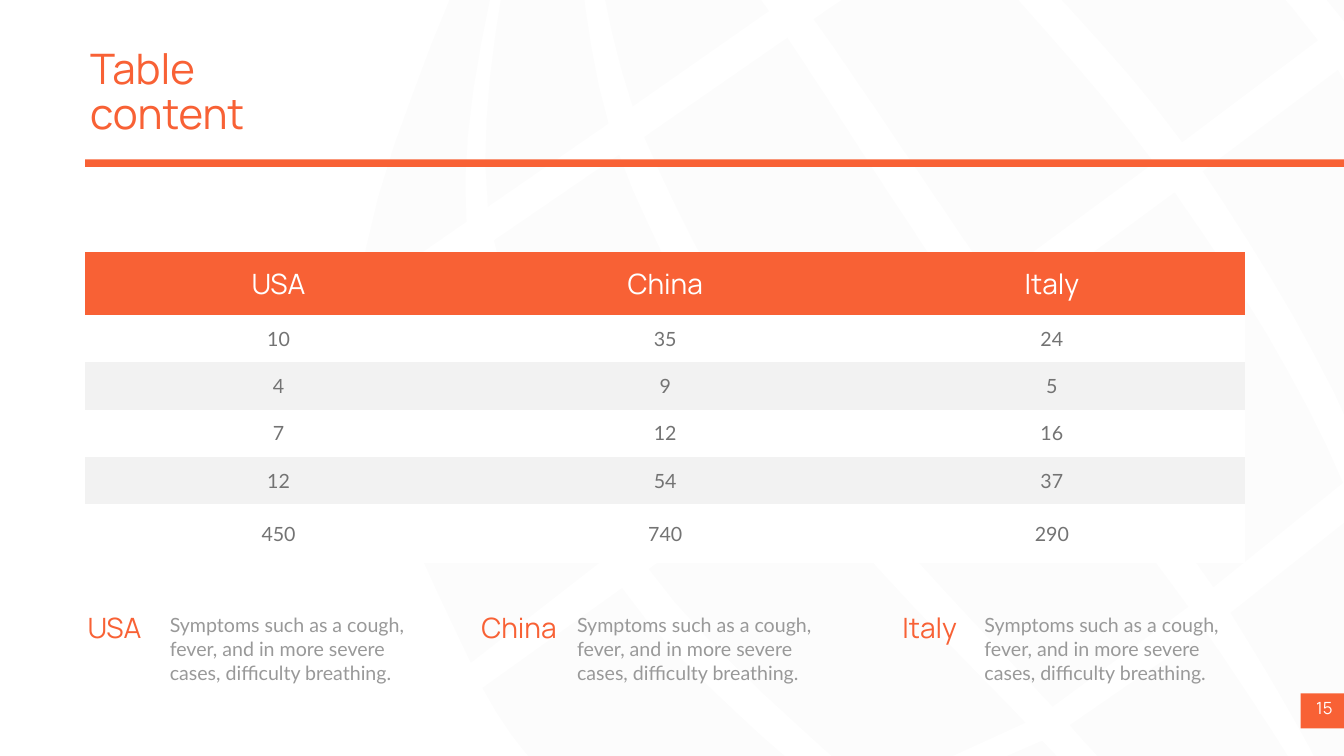
import pptx
import pptx.dml.color
import pptx.enum.shapes
import pptx.enum.text
import pptx.oxml.ns
import pptx.util
from lxml import etree

Inches = pptx.util.Inches
RGBColor = pptx.dml.color.RGBColor
ALIGN = pptx.enum.text.PP_ALIGN
ANCHOR = pptx.enum.text.MSO_ANCHOR

ORANGE = RGBColor(0xF8, 0x61, 0x35)
WHITE = RGBColor(0xFF, 0xFF, 0xFF)
BAND = RGBColor(0xF2, 0xF2, 0xF2)
PANE = RGBColor(0xA6, 0xA6, 0xA6)
CELL_TEXT = RGBColor(0x73, 0x73, 0x73)
NOTE_TEXT = RGBColor(0x99, 0x99, 0x99)
HEADING_FONT, BODY_FONT = "Manrope", "Lato"
PLAIN_TABLE = "{2D5ABB26-0587-4C30-8999-92F81FD0307C}"

TITLE = "Table content"
PAGE_NUMBER = "15"
NOTE = "Symptoms such as a cough, fever, and in more severe cases, difficulty breathing."
COUNTRIES = [("USA", 1.63), ("China", 1.9), ("Italy", 1.63)]
FIGURES = [(10, 35, 24), (4, 9, 5), (7, 12, 16), (12, 54, 37), (450, 740, 290)]
ROW_HEIGHTS = [1.25, 0.94, 0.94, 0.94, 0.94, 1.16]

GLOBE_LEVELS = [
    [(9.5, -1.6), (10.2, -2.2), (11.4, -3.3), (12.2, -4.2)],
    [(6.9, 6.4), (9.5, 4.6), (12.4, 2.6), (15.7, 0.3), (19, -1.8), (21.9, -3.9), (24.4, -5.6)],
    [(9.2, 13.6), (12.4, 11.2), (15.8, 8.8), (19.6, 6.1), (23.4, 3.3), (26.6, 0.9), (29.9, -1.6)],
    [(11.2, 16.2), (17.2, 16), (20.8, 14.4), (24, 12.1), (27, 9.7), (29.7, 7.7)],
    [None, (18.8, 17), (22.4, 16), (26.5, 16), (27.9, 16)],
]
UNITS, CURVE_STEPS = 100, 8
END_GAP, SIDE_GAP = 0.05, 0.08


def node(level, column):
    if 0 <= level < len(GLOBE_LEVELS) and column < len(GLOBE_LEVELS[level]):
        return GLOBE_LEVELS[level][column]
    return None


def meridian(level, column, t):
    start, end = node(level, column), node(level + 1, column)
    before = node(level - 1, column) or start
    after = node(level + 2, column) or end
    weights = ((-t + 2 * t ** 2 - t ** 3) / 2, (2 - 5 * t ** 2 + 3 * t ** 3) / 2,
               (t + 4 * t ** 2 - 3 * t ** 3) / 2, (t ** 3 - t ** 2) / 2)
    corners = (before, start, end, after)
    return [sum(w * c[axis] for w, c in zip(weights, corners)) for axis in (0, 1)]


def pane_outline(level, column):
    steps = [END_GAP + (1 - 2 * END_GAP) * i / CURVE_STEPS for i in range(CURVE_STEPS + 1)]
    points = []
    for side, order in ((SIDE_GAP, steps), (1 - SIDE_GAP, steps[::-1])):
        for t in order:
            near, far = meridian(level, column, t), meridian(level, column + 1, t)
            points.append(tuple((a + (b - a) * side) * UNITS for a, b in zip(near, far)))
    return points


def paint(shape, color):
    shape.shadow.inherit = False
    shape.fill.solid()
    shape.fill.fore_color.rgb = color
    shape.line.fill.background()


def style(frame, text, size, font, color, align=ALIGN.LEFT, spacing=1.0):
    frame.text = text
    paragraph = frame.paragraphs[0]
    paragraph.alignment = align
    paragraph.line_spacing = spacing
    for span in paragraph.runs:
        span.font.size = pptx.util.Pt(size)
        span.font.name = font
        span.font.color.rgb = color


def add_globe(page):
    globe = page.shapes.add_group_shape()
    for level in range(len(GLOBE_LEVELS) - 1):
        for column in range(len(GLOBE_LEVELS[1]) - 1):
            if not all(node(level + i, column + j) for i in (0, 1) for j in (0, 1)):
                continue
            points = pane_outline(level, column)
            builder = globe.shapes.build_freeform(*points[0], scale=Inches(1) / UNITS)
            builder.add_line_segments(points[1:], close=True)
            shape = builder.convert_to_shape()
            paint(shape, PANE)
            tint = shape._element.spPr.find(".//" + pptx.oxml.ns.qn("a:srgbClr"))
            etree.SubElement(tint, pptx.oxml.ns.qn("a:alpha"), val="3000")


def add_bar(page, left, top, width, height):
    bar = page.shapes.add_shape(pptx.enum.shapes.MSO_SHAPE.RECTANGLE,
                                *map(Inches, (left, top, width, height)))
    paint(bar, ORANGE)


def add_text(page, area, *look, wrap=True, **options):
    box = page.shapes.add_textbox(*map(Inches, area))
    box.text_frame.word_wrap = wrap
    style(box.text_frame, *look, **options)


def add_figures(page):
    rows = [[name for name, _ in COUNTRIES]] + FIGURES
    table = page.shapes.add_table(len(rows), len(COUNTRIES), Inches(1.69), Inches(5),
                                  Inches(23.01), Inches(sum(ROW_HEIGHTS))).table
    table._tbl.tblPr.find(pptx.oxml.ns.qn("a:tableStyleId")).text = PLAIN_TABLE
    for row_index, values in enumerate(rows):
        table.rows[row_index].height = Inches(ROW_HEIGHTS[row_index])
        if row_index == 0:
            fill, look = ORANGE, (40, HEADING_FONT, WHITE)
        else:
            fill, look = (WHITE if row_index % 2 else BAND), (28, BODY_FONT, CELL_TEXT)
        for column_index, value in enumerate(values):
            cell = table.cell(row_index, column_index)
            cell.fill.solid()
            cell.fill.fore_color.rgb = fill
            cell.vertical_anchor = ANCHOR.MIDDLE
            style(cell.text_frame, str(value), *look, align=ALIGN.CENTER)


def main():
    deck = pptx.Presentation()
    deck.slide_width, deck.slide_height = Inches(26.66), Inches(15)
    page = deck.slides.add_slide(deck.slide_layouts[5])
    add_globe(page)

    add_bar(page, 25.8, 13.76, 0.86, 0.69)
    add_text(page, (25.88, 13.83, 0.78, 0.61), PAGE_NUMBER, 24, HEADING_FONT, WHITE,
             wrap=False, align=ALIGN.CENTER, spacing=0.9)

    title = page.shapes.title
    title.left, title.top, title.width, title.height = map(Inches, (1.69, 0.9, 4.89, 2.12))
    title.text_frame.vertical_anchor = ANCHOR.TOP
    style(title.text_frame, TITLE, 60, HEADING_FONT, ORANGE, spacing=0.9)
    add_bar(page, 1.69, 3.16, 24.97, 0.15)

    add_figures(page)
    for index, (name, width) in enumerate(COUNTRIES):
        left = 3.27 + index * 8.08
        add_text(page, (left, 12.12, 5.27, 1.51), NOTE, 28, BODY_FONT, NOTE_TEXT)
        add_text(page, (left - width, 12.14, width, 0.77), name, 40, HEADING_FONT, ORANGE, spacing=0.9)

    deck.save("out.pptx")


if __name__ == "__main__":
    main()
